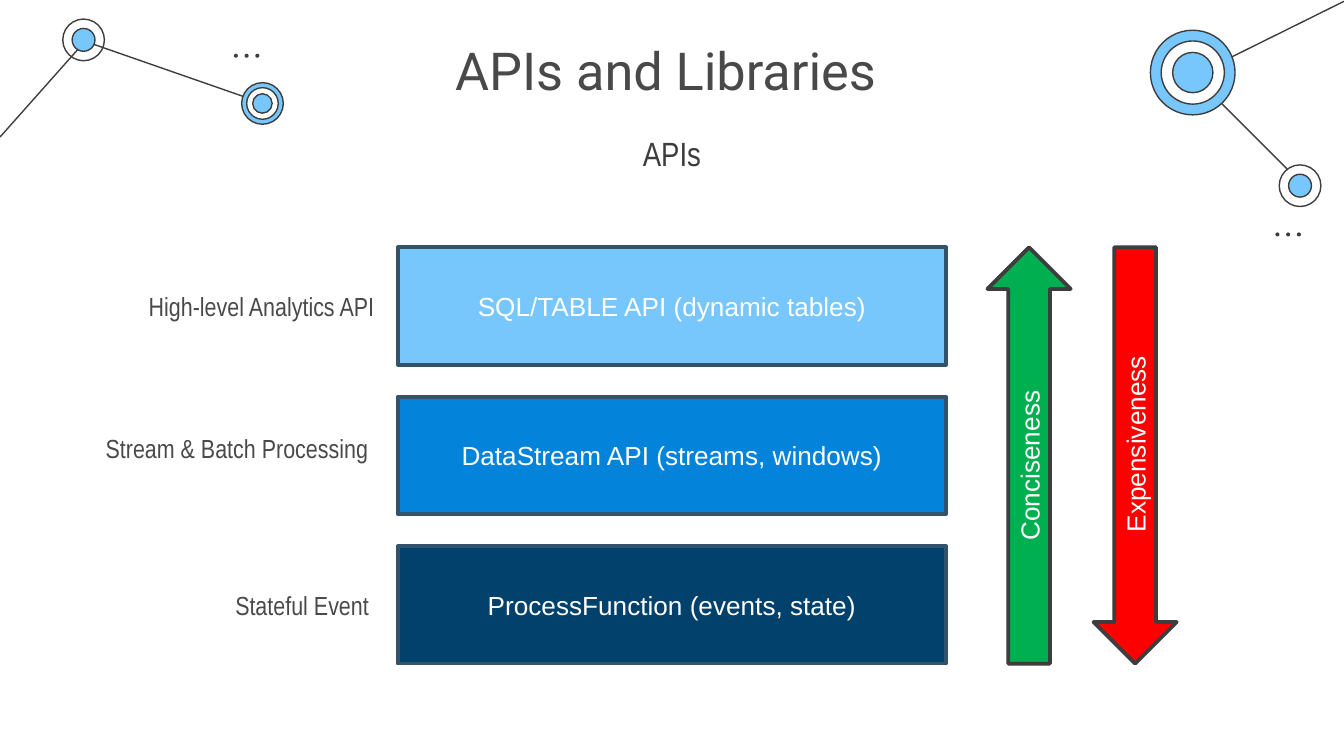
"""Build the slide on a grid of 100 columns by 56.25 rows."""
import pptx
import pptx.util
import pptx.dml.color
import pptx.enum.shapes
import pptx.enum.text
import pptx.oxml
import pptx.oxml.ns
from dataclasses import dataclass

KIND = pptx.enum.shapes.MSO_SHAPE
SIDE = pptx.enum.text.PP_ALIGN
ANCHOR = pptx.enum.text.MSO_ANCHOR


@dataclass(frozen=True)
class Theme:
    """Colours, fonts and type sizes."""
    ink: str = "3D3D3D"
    text: str = "494949"
    white: str = "FFFFFF"
    sky: str = "77C6FC"
    blue: str = "0383D9"
    navy: str = "01416C"
    edge: str = "32536A"
    green: str = "00B050"
    red: str = "FF0000"
    title: tuple = ("Roboto", 28)
    head: tuple = ("Arial Narrow", 18)
    label: tuple = ("Arial Narrow", 14)
    body: tuple = ("Arial", 14)
    thin: float = 0.75
    thick: float = 2


LOOK = Theme()
COLS, ROWS = 100, 56.25
TOP, STEP, TALL = 18.4, 11.12, 8.74
LEFT, WIDE = 29.6, 40.8


def unit(count):
    """Turn grid units into a length."""
    return pptx.util.Inches(count / 10)


def box(left, top, width, height):
    """Turn a grid box into lengths."""
    return [unit(part) for part in (left, top, width, height)]


def put(item, values):
    """Set each attribute of an item from a dict."""
    for name, value in values.items():
        setattr(item, name, value)


def tint(text):
    """Turn a hex string into a colour."""
    return pptx.dml.color.RGBColor.from_string(text)


def write(shape, words, font, color, align=SIDE.CENTER, anchor=ANCHOR.MIDDLE, pad=0.5):
    """Fill a shape with one styled paragraph."""
    frame = shape.text_frame
    put(frame, {
        "text": words, "word_wrap": True, "vertical_anchor": anchor,
        "auto_size": pptx.enum.text.MSO_AUTO_SIZE.NONE,
        "margin_left": unit(1), "margin_right": unit(1),
        "margin_top": unit(pad), "margin_bottom": unit(pad),
    })
    line = frame.paragraphs[0]
    line.alignment = align
    name, size = font
    put(line.runs[0].font, {"name": name, "size": pptx.util.Pt(size)})
    line.runs[0].font.color.rgb = tint(color)


def form(slide, kind, place, fill, edge=None, weight=0):
    """Add a flat preset shape."""
    shape = slide.shapes.add_shape(kind, *box(*place))
    shape.shadow.inherit = False
    if fill:
        shape.fill.solid()
        shape.fill.fore_color.rgb = tint(fill)
    else:
        shape.fill.background()
    if edge:
        shape.line.color.rgb = tint(edge)
        shape.line.width = pptx.util.Pt(weight)
    else:
        shape.line.fill.background()
    return shape


def note(slide, place, words, font, color, turn=0, **style):
    """Add a text box."""
    area = slide.shapes.add_textbox(*box(*place))
    area.rotation = turn
    write(area, words, font, color, **style)


def link(slide, *ends):
    """Add a thin line between two grid points."""
    line = slide.shapes.add_connector(
        pptx.enum.shapes.MSO_CONNECTOR.STRAIGHT, *[unit(end) for end in ends])
    line.line.color.rgb = tint(LOOK.ink)
    line.line.width = pptx.util.Pt(LOOK.thin)
    props = line._element.spPr
    props.append(props.makeelement(pptx.oxml.ns.qn("a:effectLst"), {}))


def node(slide, x, y, *rings):
    """Add concentric circles around a point."""
    for size, fill in rings:
        place = (x - size / 2, y - size / 2, size, size)
        form(slide, KIND.OVAL, place, fill, LOOK.ink, LOOK.thin)


def dots(slide, left, top):
    """Add three small dots in a row."""
    for index in range(3):
        form(slide, KIND.OVAL, (left + index * 0.8, top, 0.3, 0.3), LOOK.ink)


def net(slide):
    """Draw the corner networks."""
    for ends in ((96.7, 13.5, 88.7, 5.5), (6.4, 3.1, 19.6, 7.7),
                 (0, 10.2, 6.4, 3), (COLS, 0.1, 89.1, 5.5)):
        link(slide, *ends)
    sky, white = LOOK.sky, LOOK.white
    node(slide, 6.22, 2.97, (3.1, None), (1.7, sky))
    node(slide, 19.53, 7.7, (3.1, sky), (2.35, white), (1.45, sky))
    node(slide, 88.75, 5.4, (6.3, sky), (4.7, white), (3, sky))
    node(slide, 96.73, 13.82, (3.1, white), (1.7, sky))
    dots(slide, 17.4, 4)
    dots(slide, 94.9, 17.3)


def stack(slide):
    """Draw the API layers with their labels."""
    layers = (
        ("SQL/TABLE API (dynamic tables)", LOOK.sky,
         "High-level Analytics API", 7, 19.45, 21.85),
        ("DataStream API (streams, windows)", LOOK.blue,
         "Stream & Batch Processing", 5.7, 30.05, 22.7),
        ("ProcessFunction (events, state)", LOOK.navy,
         "Stateful Event", 7, 41.7, 21.45),
    )
    for row, (words, fill, label, left, top, width) in enumerate(layers):
        place = (LEFT, TOP + row * STEP, WIDE, TALL)
        layer = form(slide, KIND.RECTANGLE, place, fill, LOOK.edge, LOOK.thick)
        write(layer, words, LOOK.body, LOOK.white)
        note(slide, (left, top, width, 6.6), label, LOOK.label,
             LOOK.text, align=SIDE.RIGHT, pad=1)


def scale(slide):
    """Draw the two opposed arrows with upright words."""
    arrows = (("Conciseness", LOOK.green, 73.47, 0, 34.65),
              ("Expensiveness", LOOK.red, 81.36, 180, 33.05))
    for words, fill, left, turn, middle in arrows:
        place = (left, TOP, 6.2, 2 * STEP + TALL)
        arrow = form(slide, KIND.UP_ARROW, place, fill, LOOK.ink, LOOK.thick)
        arrow.rotation = turn
        note(slide, (left + 3.1 - 14.7, middle - 1.55, 29.4, 3.1), words,
             LOOK.body, LOOK.white, turn=270)


def main():
    """Build and save the slide."""
    deck = pptx.Presentation()
    put(deck, {"slide_width": unit(COLS), "slide_height": unit(ROWS)})
    slide = deck.slides.add_slide(deck.slide_layouts[5])
    net(slide)
    title = slide.shapes.title
    put(title, dict(zip(("left", "top", "width", "height"),
                        box(17.15, 1.85, 65.7, 6.5))))
    write(title, "APIs and Libraries ", LOOK.title, LOOK.text,
          anchor=ANCHOR.TOP, pad=1)
    note(slide, (28.45, 8.9, 43.1, 4.7), "APIs", LOOK.head, LOOK.ink,
         anchor=ANCHOR.TOP, pad=1)
    stack(slide)
    scale(slide)
    deck.save("out.pptx")


if __name__ == "__main__":
    main()
